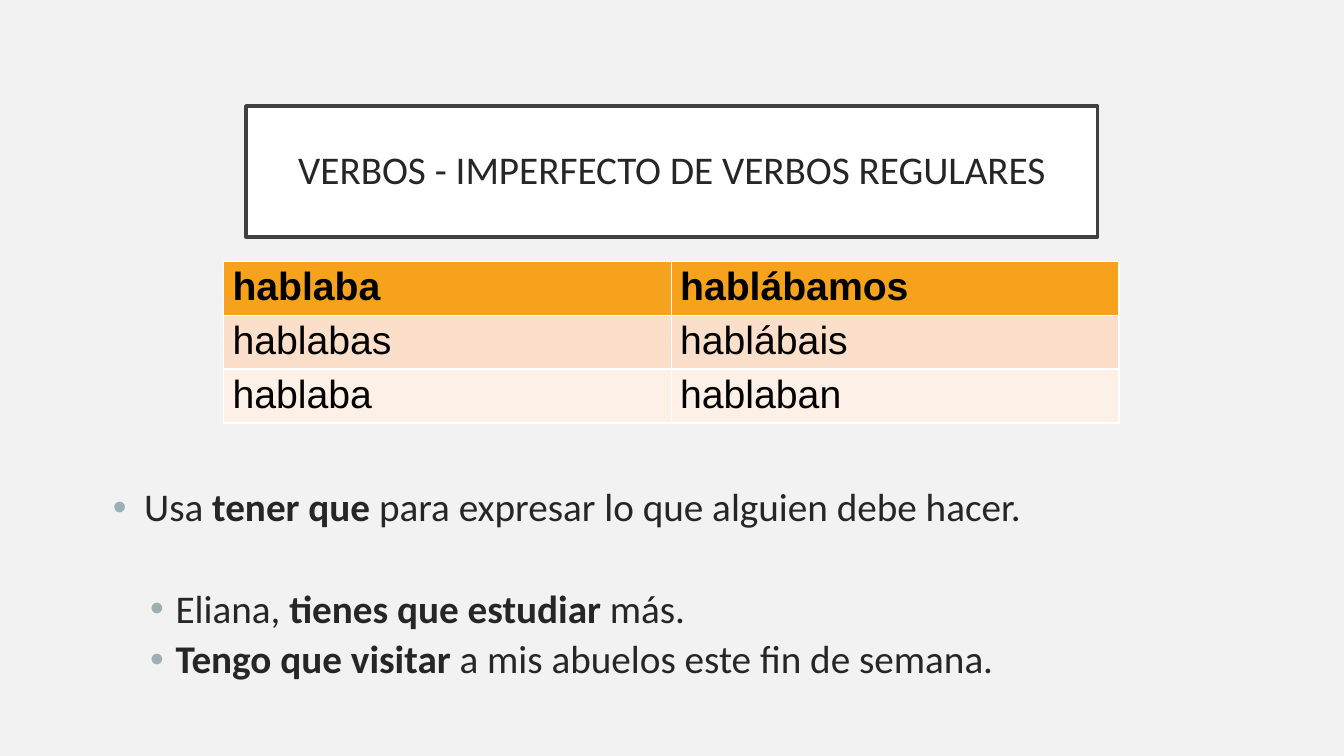
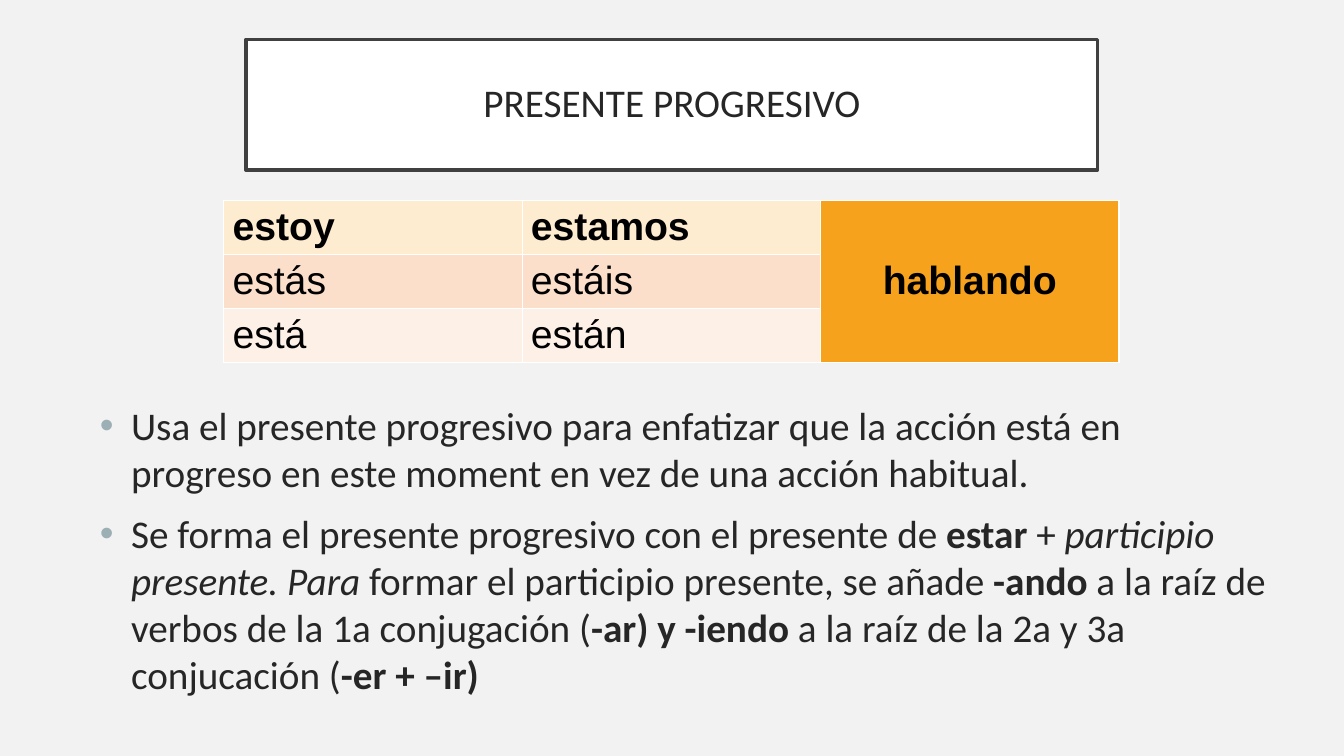
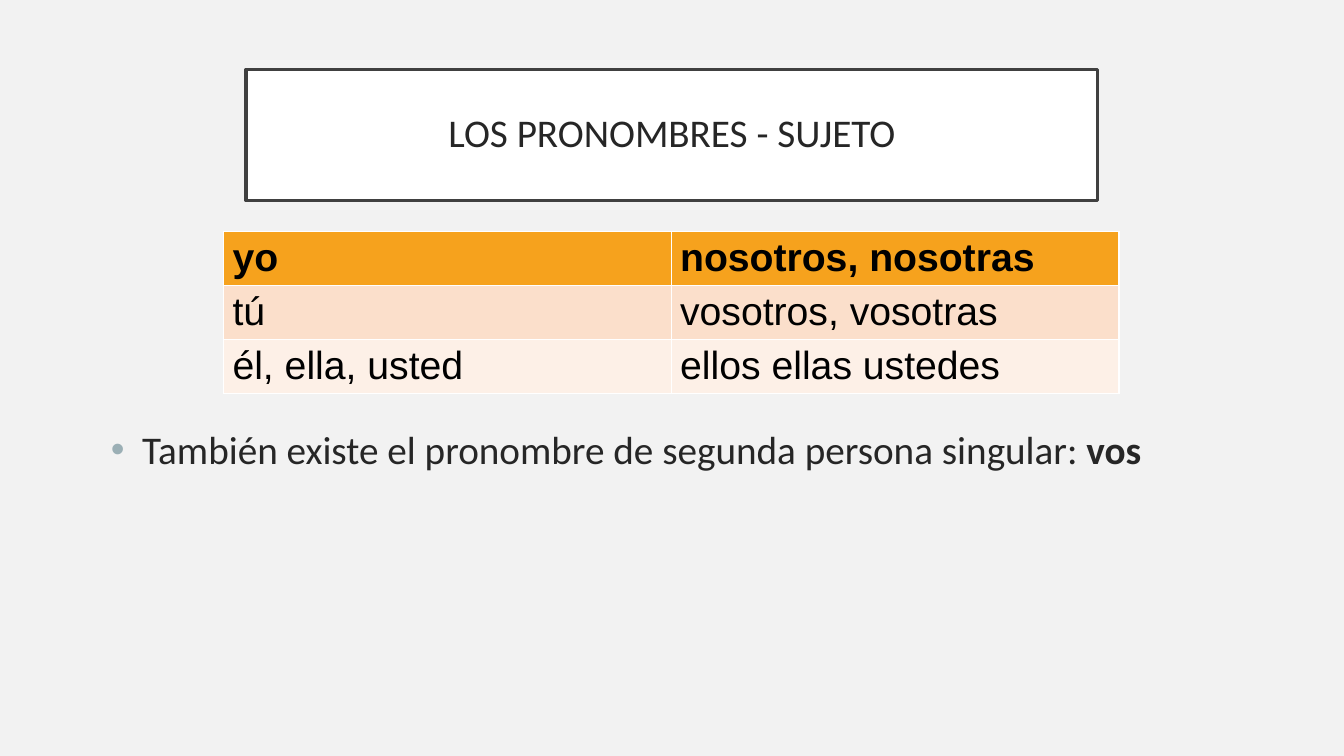
from pptx import Presentation
from pptx.dml.color import RGBColor
from pptx.enum.text import MSO_ANCHOR as ANCHOR, MSO_AUTO_SIZE as AUTO, PP_ALIGN as ALIGN
from pptx.oxml.ns import qn
from pptx.util import Cm, Pt
from lxml import etree

COLORS = {
    "background": "F2F2F2", "box": "FFFFFF", "frame": "404040",
    "text": "262626", "cell": "000000", "bullet": "9BAFB5",
    "orange": "F6A21D", "cream": "FDECD0", "peach": "FBDFCB", "pale": "FDF0E7",
}
SIZE = 28
TABLE_LEFT, TABLE_WIDTH, ROW_HEIGHT = 5.64, 22.56, 1.36

# Bullet kinds: level, left margin and hanging indent in cm
BULLETS = {"main": (0, 0.79, 0.79), "sub": (1, 1.58, 0.64), "note": (1, 1.07, 0.79)}

# Each bullet: kind, space before in points, runs of (text, style)
SLIDES = [
    {
        "title": "VERBOS - IMPERFECTO DE VERBOS REGULARES", "title_top": 2.67,
        "table_top": 6.58, "header": "orange",
        "rows": [("hablaba", "hablábamos"), ("hablabas", "hablábais"), ("hablaba", "hablaban")],
        "body": (2.59, 12.17, 28.55, 6.8), "line_spacing": 0.9,
        "bullets": [
            ("main", 0, [("Usa ", ""), ("tener que ", "b"),
                         ("para expresar lo que alguien debe hacer.", "")]),
            ("sub", 42, [("Eliana, ", ""), ("tienes que estudiar ", "b"), ("más.", "")]),
            ("sub", 6, [("Tengo que visitar ", "b"),
                        ("a mis abuelos este fin de semana.", "")]),
        ],
    },
    {
        "title": "PRESENTE PROGRESIVO", "title_top": 0.99,
        "table_top": 5.05, "header": "cream", "shared": "hablando",
        "rows": [("estoy", "estamos"), ("estás", "estáis"), ("está", "están")],
        "body": (2.26, 9.98, 29.97, 8.6), "line_spacing": 1.0,
        "bullets": [
            ("main", 0, [("Usa el presente progresivo para enfatizar que la acción está en "
                          "progreso en este moment en vez de una acción habitual.", "")]),
            ("main", 10, [("Se forma el presente progresivo con el presente de ", ""),
                          ("estar ", "b"), ("+ ", ""), ("participio presente. Para ", "i"),
                          ("formar el participio presente, se añade ", ""), ("-ando ", "b"),
                          ("a la raíz de verbos de la 1a conjugación (", ""),
                          ("-ar) y -iendo ", "b"),
                          ("a la raíz de la 2a y 3a conjucación (", ""),
                          ("-er + –ir)", "b")]),
        ],
    },
    {
        "title": "LOS PRONOMBRES - SUJETO", "title_top": 1.75,
        "table_top": 5.84, "header": "orange",
        "rows": [("yo", "nosotros, nosotras"), ("tú", "vosotros, vosotras"),
                 ("él, ella, usted", "ellos ellas ustedes")],
        "body": (2.26, 10.59, 29.97, 8.4), "line_spacing": 1.0,
        "bullets": [
            ("note", 0, [("También existe el pronombre de segunda persona singular: ", ""),
                         ("vos", "b")]),
        ],
    },
]


def style_run(r, font, color, bold=False, italic=False):
    r.font.name = font
    r.font.size = Pt(SIZE)
    r.font.bold = bold
    r.font.italic = italic
    r.font.color.rgb = RGBColor.from_string(COLORS[color])


def fill_cell(cell, text, color, bold):
    cell.fill.solid()
    cell.fill.fore_color.rgb = RGBColor.from_string(COLORS[color])
    cell.margin_left = cell.margin_right = Cm(0.22)
    cell.margin_top = cell.margin_bottom = Cm(0.11)
    cell.text_frame.text = text
    style_run(cell.text_frame.paragraphs[0].runs[0], "Arial", "cell", bold)


prs = Presentation()
prs.slide_width, prs.slide_height = Cm(33.87), Cm(19.05)
background = prs.slide_master.background.fill
background.solid()
background.fore_color.rgb = RGBColor.from_string(COLORS["background"])

for data in SLIDES:
    s = prs.slides.add_slide(prs.slide_layouts[1])

    # Framed title
    title = s.shapes.title
    title.left, title.top = Cm(6.2), Cm(data["title_top"])
    title.width, title.height = Cm(21.46), Cm(3.3)
    title.fill.solid()
    title.fill.fore_color.rgb = RGBColor.from_string(COLORS["box"])
    title.line.color.rgb = RGBColor.from_string(COLORS["frame"])
    title.line.width = Pt(2.5)
    tf = title.text_frame
    tf.text = data["title"]
    tf.auto_size = AUTO.NONE
    tf.vertical_anchor = ANCHOR.MIDDLE
    tf.margin_left = tf.margin_right = tf.margin_top = tf.margin_bottom = Cm(0.51)
    p = tf.paragraphs[0]
    p.alignment = ALIGN.CENTER
    p.line_spacing = 0.9
    style_run(p.runs[0], "Calibri", "text")

    # Bulleted text
    body = s.placeholders[1]
    body.left, body.top, body.width, body.height = [Cm(v) for v in data["body"]]
    tf = body.text_frame
    tf.auto_size = AUTO.NONE
    for i, (kind, space, runs) in enumerate(data["bullets"]):
        p = tf.add_paragraph() if i else tf.paragraphs[0]
        level, margin, hanging = BULLETS[kind]
        p.level = level
        p.line_spacing = data["line_spacing"]
        p.space_before = Pt(space)
        pPr = p._p.get_or_add_pPr()
        pPr.set("marL", str(Cm(margin)))
        pPr.set("indent", str(-Cm(hanging)))
        bullet_color = etree.SubElement(pPr, qn("a:buClr"))
        etree.SubElement(bullet_color, qn("a:srgbClr"), val=COLORS["bullet"])
        etree.SubElement(pPr, qn("a:buFont"), typeface="Arial")
        etree.SubElement(pPr, qn("a:buChar"), char="•")
        for text, style in runs:
            r = p.add_run()
            r.text = text
            style_run(r, "Calibri", "text", style == "b", style == "i")

    # Verb or pronoun table
    rows = data["rows"]
    n_cols = 3 if "shared" in data else 2
    table = s.shapes.add_table(len(rows), n_cols, Cm(TABLE_LEFT), Cm(data["table_top"]),
                               Cm(TABLE_WIDTH), Cm(ROW_HEIGHT * len(rows))).table
    for i, (words, color) in enumerate(zip(rows, (data["header"], "peach", "pale"))):
        for j, word in enumerate(words):
            fill_cell(table.cell(i, j), word, color, bold=i == 0)

    # Participle shared by all rows
    if "shared" in data:
        cell = table.cell(0, 2)
        cell.merge(table.cell(len(rows) - 1, 2))
        fill_cell(cell, data["shared"], "orange", bold=True)
        cell.vertical_anchor = ANCHOR.MIDDLE
        cell.text_frame.paragraphs[0].alignment = ALIGN.CENTER

prs.save("out.pptx")
